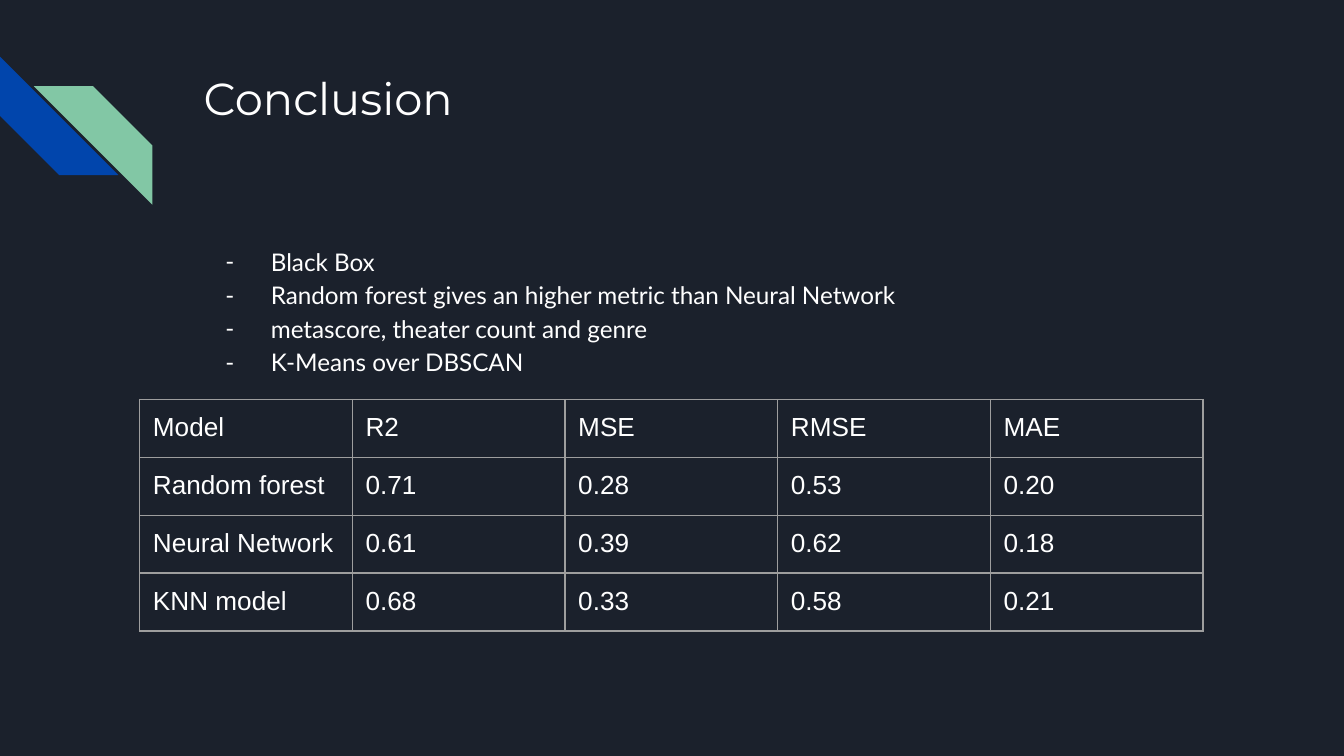
from lxml import etree
from pptx import Presentation
from pptx.dml.color import RGBColor
from pptx.enum.shapes import MSO_SHAPE
from pptx.enum.text import MSO_ANCHOR
from pptx.oxml.ns import qn
from pptx.util import Cm, Pt

STRIPE = MSO_SHAPE.DIAGONAL_STRIPE
TOP = MSO_ANCHOR.TOP

COLORS = {
    "background": "1B212C",
    "blue": "0145AC",
    "green": "82C7A5",
    "text": "FFFFFF",
    "border": "9E9E9E",
}
INSET = Cm(0.25)
BORDER_WIDTH = Pt(0.75)

FINDINGS = [
    "Black Box",
    "Random forest gives an higher metric than Neural Network",
    "metascore, theater count and genre",
    "K-Means over DBSCAN",
]
METRICS = [
    ["Model", "R2", "MSE", "RMSE", "MAE"],
    ["Random forest", "0.71", "0.28", "0.53", "0.20"],
    ["Neural Network", "0.61", "0.39", "0.62", "0.18"],
    ["KNN model", "0.68", "0.33", "0.58", "0.21"],
]


def rgb(name):
    return RGBColor.from_string(COLORS[name])


def style_text(paragraph, font, size):
    for run in paragraph.runs:
        run.font.name = font
        run.font.size = Pt(size)
        run.font.color.rgb = rgb("text")


def set_insets(target):
    target.margin_left = target.margin_right = INSET
    target.margin_top = target.margin_bottom = INSET


def add_stripe(slide, left, top, rotation, color):
    stripe = slide.shapes.add_shape(STRIPE, Cm(left), Cm(top), Cm(2.24), Cm(2.24))
    stripe.adjustments[0] = 0.5
    stripe.rotation = rotation
    stripe.shadow.inherit = False
    stripe.fill.solid()
    stripe.fill.fore_color.rgb = rgb(color)
    stripe.line.fill.background()


def add_text(slide, top, height, lines, font, size):
    frame = slide.shapes.add_textbox(Cm(3.6), Cm(top), Cm(19.56), Cm(height)).text_frame
    frame.word_wrap = True
    frame.vertical_anchor = TOP
    set_insets(frame)
    frame.text = "\n".join(lines)
    for paragraph in frame.paragraphs:
        style_text(paragraph, font, size)
    return frame


def add_dash(paragraph):
    paragraph.line_spacing = 1.15
    properties = paragraph._p.get_or_add_pPr()
    properties.set("marL", str(Cm(1.27)))
    properties.set("indent", str(-Cm(0.86)))
    color = etree.SubElement(properties, qn("a:buClr"))
    etree.SubElement(color, qn("a:srgbClr"), val=COLORS["text"])
    etree.SubElement(properties, qn("a:buFont"), typeface="Lato")
    etree.SubElement(properties, qn("a:buChar"), char="-")


def add_borders(cell):
    properties = cell._tc.get_or_add_tcPr()
    for side in ("lnL", "lnR", "lnT", "lnB"):
        line = etree.SubElement(properties, qn(f"a:{side}"), w=str(BORDER_WIDTH))
        fill = etree.SubElement(line, qn("a:solidFill"))
        etree.SubElement(fill, qn("a:srgbClr"), val=COLORS["border"])


def add_metrics_table(slide, rows, left, top, column_width, row_height):
    columns = len(rows[0])
    table = slide.shapes.add_table(
        len(rows), columns, Cm(left), Cm(top),
        Cm(column_width * columns), Cm(row_height * len(rows)),
    ).table
    table.first_row = table.horz_banding = False
    for r, values in enumerate(rows):
        for c, value in enumerate(values):
            cell = table.cell(r, c)
            cell.text = value
            set_insets(cell)
            style_text(cell.text_frame.paragraphs[0], "Arial", 14)
            add_borders(cell)
            cell.fill.background()


def main():
    deck = Presentation()
    deck.slide_width, deck.slide_height = Cm(25.4), Cm(14.29)
    slide = deck.slides.add_slide(deck.slide_layouts[6])
    slide.background.fill.solid()
    slide.background.fill.fore_color.rgb = rgb("background")

    # Corner decoration
    add_stripe(slide, 0, 1.07, 270, "blue")
    add_stripe(slide, 0.64, 1.63, 90, "green")

    # Title and findings
    add_text(slide, 1.09, 2.54, ["Conclusion"], "Montserrat", 24)
    findings = add_text(slide, 4.34, 8.08, FINDINGS, "Lato", 13)
    for finding in findings.paragraphs:
        add_dash(finding)

    # Model comparison
    add_metrics_table(slide, METRICS, 2.64, 7.55, 4.02, 1.06)

    deck.save("out.pptx")


if __name__ == "__main__":
    main()
